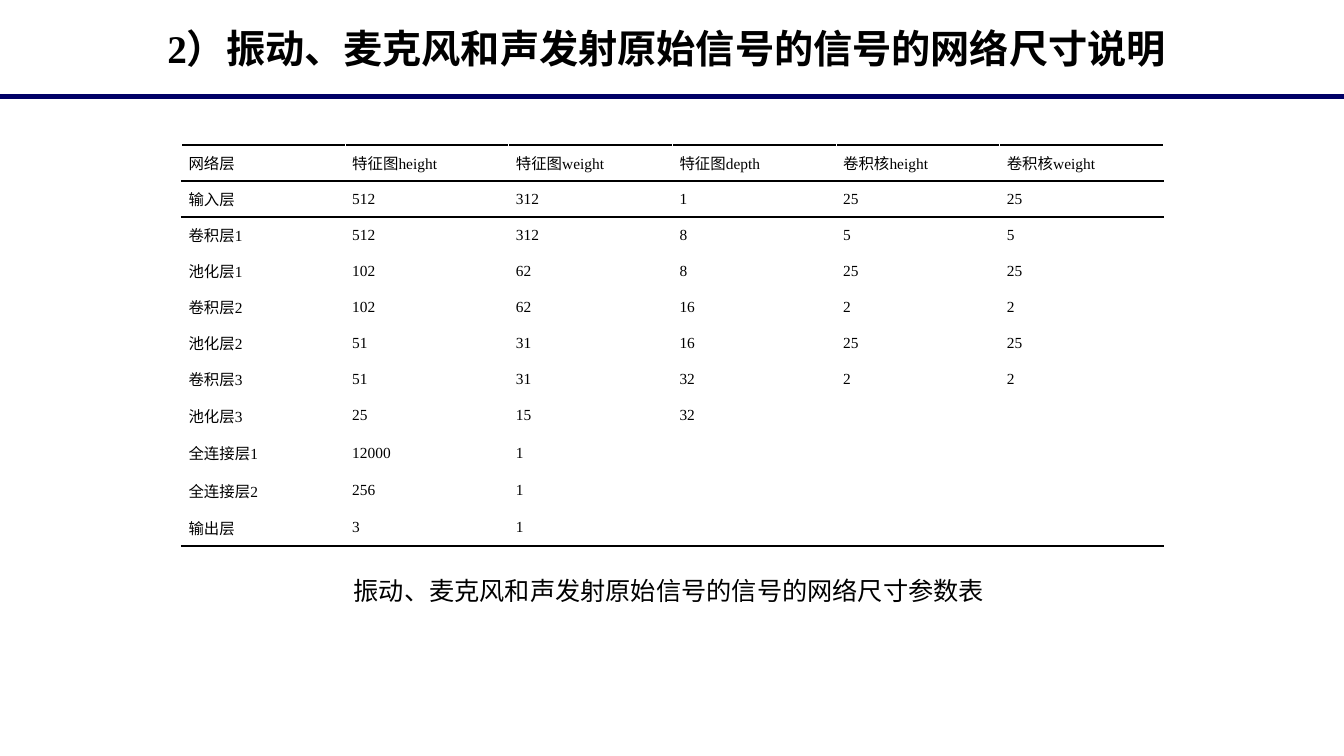
from lxml import etree
from pptx import Presentation
from pptx.dml.color import RGBColor
from pptx.enum.shapes import MSO_CONNECTOR
from pptx.enum.text import MSO_ANCHOR, MSO_AUTO_SIZE, PP_ALIGN
from pptx.oxml.ns import qn
from pptx.util import Inches, Pt

LINE = MSO_CONNECTOR.STRAIGHT
MIDDLE = MSO_ANCHOR.MIDDLE
LEFT = PP_ALIGN.LEFT
FIT = MSO_AUTO_SIZE.SHAPE_TO_FIT_TEXT
NO_FIT = MSO_AUTO_SIZE.NONE

WIDE, HIGH = 13.33, 7.5
BLACK, NAVY = "000000", "000066"
SERIF, SANS = "Times New Roman", "Arial"

TITLE = "2）振动、麦克风和声发射原始信号的信号的网络尺寸说明"
CAPTION = "振动、麦克风和声发射原始信号的信号的网络尺寸参数表"
LAYERS = [
    ["网络层", "特征图height", "特征图weight", "特征图depth", "卷积核height", "卷积核weight"],
    ["输入层", "512", "312", "1", "25", "25"],
    ["卷积层1", "512", "312", "8", "5", "5"],
    ["池化层1", "102", "62", "8", "25", "25"],
    ["卷积层2", "102", "62", "16", "2", "2"],
    ["池化层2", "51", "31", "16", "25", "25"],
    ["卷积层3", "51", "31", "32", "2", "2"],
    ["池化层3", "25", "15", "32", "", ""],
    ["全连接层1", "12000", "1", "", "", ""],
    ["全连接层2", "256", "1", "", "", ""],
    ["输出层", "3", "1", "", "", ""],
]
TALL_ROWS, TALL = 4, 0.37


def color(code):
    return RGBColor.from_string(code)


def style(para, face, size, bold=False):
    para.alignment = LEFT
    font = para.font
    font.name, font.size, font.bold = face, Pt(size), bold
    font.color.rgb = color(BLACK)


def rule(cell, side, width=1.5):
    """Draw a black line on one side of a cell: T or B."""
    line = etree.SubElement(cell._tc.get_or_add_tcPr(), qn("a:ln" + side), w=str(Pt(width)))
    fill = etree.SubElement(line, qn("a:solidFill"))
    etree.SubElement(fill, qn("a:srgbClr"), val=BLACK)


def add_head(slide, box):
    """Title, with a full-width line under it."""
    title = slide.shapes.title
    title.left, title.top, title.width, title.height = map(Inches, box)
    frame = title.text_frame
    frame.text = TITLE
    frame.word_wrap = True
    frame.auto_size = NO_FIT
    frame.vertical_anchor = MIDDLE
    style(frame.paragraphs[0], SERIF, 28, True)

    y = Inches(box[1] + box[3] + 0.13)
    line = slide.shapes.add_connector(LINE, 0, y, Inches(WIDE), y)
    line.line.color.rgb = color(NAVY)
    line.line.width = Pt(3.25)
    etree.SubElement(line._element.spPr, qn("a:effectLst"))


def add_layers(slide, box):
    """Table of layer sizes, ruled above and below its head and at its foot."""
    rows, cols = len(LAYERS), len(LAYERS[0])
    table = slide.shapes.add_table(rows, cols, *map(Inches, box)).table
    table.first_row = table.horz_banding = False
    for col in table.columns:
        col.width = Inches(box[2] / cols)
    low = (box[3] - TALL_ROWS * TALL) / (rows - TALL_ROWS)
    for r, texts in enumerate(LAYERS):
        table.rows[r].height = Inches(low if r < rows - TALL_ROWS else TALL)
        for c, text in enumerate(texts):
            cell = table.cell(r, c)
            cell.margin_left = cell.margin_right = Inches(0.07)
            cell.margin_top = cell.margin_bottom = 0
            cell.vertical_anchor = MIDDLE
            if r in (0, 1):
                rule(cell, "T")
            if r in (0, rows - 1):
                rule(cell, "B")
            cell.fill.background()
            cell.text = text
            style(cell.text_frame.paragraphs[0], SERIF, 11)


def add_caption(slide, box):
    """Caption below the table, on one line."""
    frame = slide.shapes.add_textbox(*map(Inches, box)).text_frame
    frame.word_wrap = False
    frame.auto_size = FIT
    frame.text = CAPTION
    style(frame.paragraphs[0], SANS, 18)


def main():
    deck = Presentation()
    deck.slide_width, deck.slide_height = Inches(WIDE), Inches(HIGH)
    slide = deck.slides.add_slide(deck.slide_layouts[5])
    add_head(slide, (1.56, 0.12, 11.67, 0.71))
    add_layers(slide, (1.8, 1.44, 9.74, 3.98))
    add_caption(slide, (3.41, 5.66, 6.51, 0.4))
    deck.save("out.pptx")


if __name__ == "__main__":
    main()
